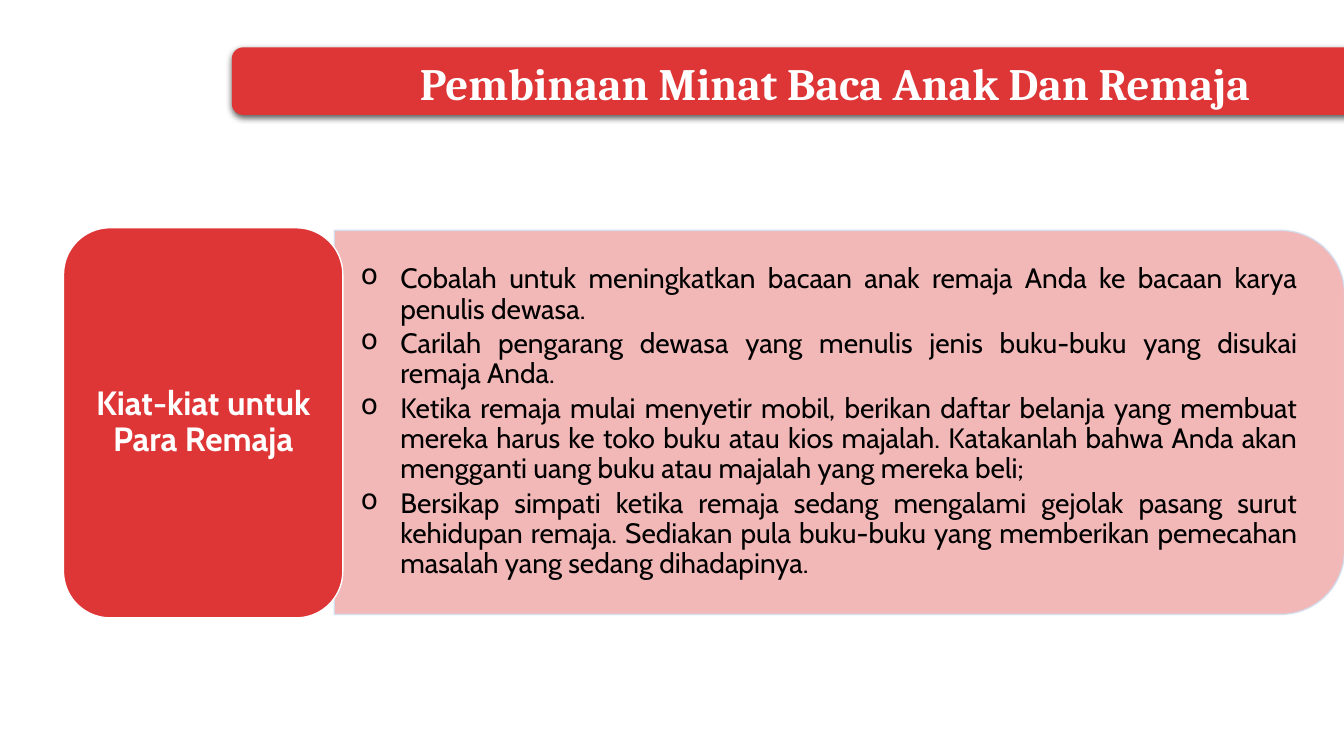
"""Build the slide on encouraging teenagers to read."""
import lxml.etree
import pptx
import pptx.dml.color
import pptx.enum.shapes
import pptx.enum.text
import pptx.oxml.ns
import pptx.util

TITLE = "Pembinaan Minat Baca Anak Dan Remaja"
LABEL = "Kiat-kiat untuk Para Remaja"
TIPS = [
    "Cobalah untuk meningkatkan bacaan anak remaja Anda ke bacaan karya penulis dewasa.",
    "Carilah pengarang dewasa yang menulis jenis buku-buku yang disukai remaja Anda.",
    "Ketika remaja mulai menyetir mobil, berikan daftar belanja yang membuat mereka harus ke toko buku "
    "atau kios majalah. Katakanlah bahwa Anda akan mengganti uang buku atau majalah yang mereka beli;",
    "Bersikap simpati ketika remaja sedang mengalami gejolak pasang surut kehidupan remaja. Sediakan pula "
    "buku-buku yang memberikan pemecahan masalah yang sedang dihadapinya.",
]
RED, PINK, PALE_BLUE, WHITE, BLACK = "DE3636", "F1B1B1", "D2DEEF", "FFFFFF", "000000"
WIDTH, HEIGHT = pptx.util.Inches(13.33), pptx.util.Inches(7.5)
PERCENT_BOXES = {
    "banner": (17.25, 6.27, 86.05, 8.93),
    "panel": (24.87, 30.47, 75.17, 50.8),
    "tips": (24.83, 32.93, 73.74, 45.87),
    "label": (4.73, 30.13, 20.78, 51.6),
}
CORNER_INSET = 0.29 / 6
ALIGN = pptx.enum.text.PP_ALIGN
ANCHOR = pptx.enum.text.MSO_ANCHOR
SHAPE = pptx.enum.shapes.MSO_SHAPE


def color(value):
    return pptx.dml.color.RGBColor.from_string(value)


def place(name):
    left, top, width, height = PERCENT_BOXES[name]
    return [round(share * size / 100) for share, size in
            ((left, WIDTH), (top, HEIGHT), (width, WIDTH), (height, HEIGHT))]


def add_child(parent, tag, **attributes):
    child = lxml.etree.SubElement(parent, pptx.oxml.ns.qn(tag))
    for key, value in attributes.items():
        child.set(key, str(value))
    return child


def add_block(slide, preset, box, fill, line=None):
    shape = slide.shapes.add_shape(preset, *box)
    shape.shadow.inherit = False
    shape.fill.solid()
    shape.fill.fore_color.rgb = color(fill)
    if line:
        shape.line.color.rgb = color(line)
        shape.line.width = pptx.util.Pt(1)
    else:
        shape.line.fill.background()
    return shape


def write(shape, texts, font, size, text_color, align, anchor, bold=False, spacing=None, after=0):
    frame = shape.text_frame
    frame.word_wrap = True
    frame.vertical_anchor = anchor
    for index, text in enumerate(texts):
        paragraph = frame.add_paragraph() if index else frame.paragraphs[0]
        paragraph.alignment = align
        paragraph.line_spacing = spacing
        paragraph.space_after = pptx.util.Pt(after)
        run = paragraph.add_run()
        run.text = text
        run.font.name = font
        run.font.size = pptx.util.Pt(size)
        run.font.bold = bold
        run.font.color.rgb = color(text_color)
    return frame


def add_banner(slide):
    banner = add_block(slide, SHAPE.ROUNDED_RECTANGLE, place("banner"), RED)
    effects = banner.element.spPr.find(pptx.oxml.ns.qn("a:effectLst"))
    shadow = add_child(effects, "a:outerShdw", blurRad=pptx.util.Pt(4.5), dist=pptx.util.Pt(1.5),
                       dir=90 * 60000, rotWithShape=0)
    add_child(add_child(shadow, "a:srgbClr", val=BLACK), "a:alpha", val=63000)
    frame = write(banner, [TITLE], "Cambria", 32, WHITE, ALIGN.CENTER, ANCHOR.TOP, bold=True)
    properties = frame.paragraphs[0]._p.get_or_add_pPr()
    properties.set("marL", str(pptx.util.Inches(0.5)))
    properties.set("indent", "0")


def add_panel(slide):
    left, top, width, height = place("panel")
    shift = (width - height) // 2
    panel = add_block(slide, SHAPE.ROUND_2_SAME_RECTANGLE,
                      (left + shift, top - shift, height, width), PINK, PALE_BLUE)
    panel.rotation = 90
    for tint in panel.element.spPr.iter(pptx.oxml.ns.qn("a:srgbClr")):
        add_child(tint, "a:alpha", val=90000)


def add_tips(slide):
    frame = write(slide.shapes.add_textbox(*place("tips")), TIPS, "Cabin", 20, BLACK,
                  ALIGN.JUSTIFY, ANCHOR.MIDDLE, spacing=0.9, after=3)
    frame.margin_left = frame.margin_right = pptx.util.Inches(0.27)
    frame.margin_top = frame.margin_bottom = pptx.util.Inches(0.14)
    hanging = pptx.util.Inches(0.39)
    for paragraph in frame.paragraphs:
        properties = paragraph._p.get_or_add_pPr()
        properties.set("marL", str(hanging))
        properties.set("indent", str(-hanging))
        add_child(properties, "a:buChar", char="o")


def add_label(slide):
    left, top, width, height = place("label")
    add_block(slide, SHAPE.ROUNDED_RECTANGLE, (left, top, width, height), RED, WHITE)
    inset = round(width * CORNER_INSET)
    caption = slide.shapes.add_textbox(left + inset, top + inset, width - 2 * inset, height - 2 * inset)
    write(caption, [LABEL], "Cabin", 24, WHITE, ALIGN.CENTER, ANCHOR.MIDDLE,
          bold=True, spacing=0.9, after=8.4)


def main():
    presentation = pptx.Presentation()
    presentation.slide_width, presentation.slide_height = WIDTH, HEIGHT
    slide = presentation.slides.add_slide(presentation.slide_layouts[6])
    add_banner(slide)
    add_panel(slide)
    add_tips(slide)
    add_label(slide)
    presentation.save("out.pptx")


if __name__ == "__main__":
    main()
